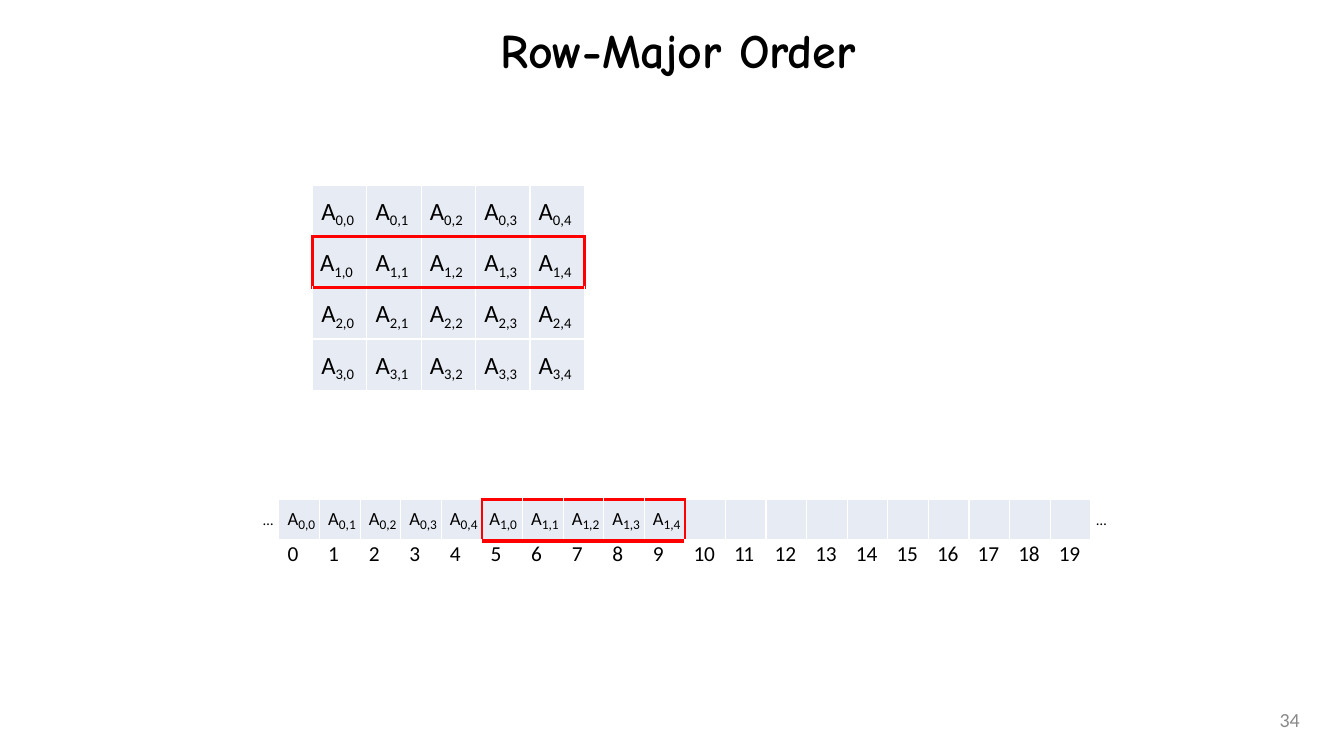
from lxml import etree
from pptx import Presentation
from pptx.dml.color import RGBColor
from pptx.enum.text import MSO_ANCHOR, MSO_AUTO_SIZE, PP_ALIGN
from pptx.oxml.ns import qn
from pptx.util import Cm, Pt

LEFT, CENTER, RIGHT = PP_ALIGN.LEFT, PP_ALIGN.CENTER, PP_ALIGN.RIGHT
TOP, MIDDLE = MSO_ANCHOR.TOP, MSO_ANCHOR.MIDDLE
FIXED_SIZE = MSO_AUTO_SIZE.NONE
TITLE_ONLY = 5
ROWS, COLUMNS, MEMORY_CELLS = 4, 5, 20
MARKED_ROW = 1
INDENT, MARKED_INDENT = 0.23, 0.2


def color(value):
    return RGBColor.from_string(value)


class SlideBuilder:
    body_font, title_font = "Calibri", "Comic Neue"
    black, white, red = "000000", "FFFFFF", "FF0000"
    cell_fill, gray = "E7EBF3", "898989"

    def __init__(self, slide):
        self.slide = slide

    def style(self, font, size=None, hue=None, name=None):
        font.name = name or self.body_font
        font.color.rgb = color(hue or self.black)
        if size:
            font.size = Pt(size)

    def indent(self, para, length):
        properties = para._p.get_or_add_pPr()
        properties.set("marL", str(Cm(length)))
        properties.set("indent", "0")

    def title(self, text, left, top, width, height):
        box = self.slide.shapes.title
        box.left, box.top, box.width, box.height = map(Cm, (left, top, width, height))
        frame = box.text_frame
        frame.text = text
        frame.auto_size = FIXED_SIZE
        frame.vertical_anchor = MIDDLE
        frame.margin_left = frame.margin_right = Cm(0.3)
        frame.margin_top = frame.margin_bottom = Cm(0.15)
        para = frame.paragraphs[0]
        para.alignment = CENTER
        self.style(para.font, 36, name=self.title_font)
        para.font.bold = True

    def text(self, text, left, top, width, height, size, hue=None,
             align=LEFT, anchor=TOP, margins=(0, 0), indent=0):
        box = self.slide.shapes.add_textbox(*map(Cm, (left, top, width, height)))
        frame = box.text_frame
        frame.word_wrap = True
        frame.vertical_anchor = anchor
        frame.margin_left = frame.margin_right = Cm(margins[0])
        frame.margin_top = frame.margin_bottom = Cm(margins[1])
        para = frame.paragraphs[0]
        para.text = text
        para.alignment = align
        self.indent(para, indent)
        self.style(para.font, size, hue)

    def table(self, rows, columns, left, top, width, height):
        frame = self.slide.shapes.add_table(
            rows, columns, *map(Cm, (left, top, width, height)))
        table = frame.table
        table.first_row = table.horz_banding = False
        for cell in table.iter_cells():
            cell.margin_left = cell.margin_right = 0
            cell.margin_top = cell.margin_bottom = 0
        return table

    def borders(self, cell, **edges):
        """Edges L, R, T and B are (hue, points); the rest are thin white."""
        properties = cell._tc.get_or_add_tcPr()
        for place, side in enumerate("LRTB"):
            hue, points = edges.get(side, (self.white, 1))
            line = etree.Element(qn(f"a:ln{side}"), w=str(Pt(points)))
            fill = etree.SubElement(line, qn("a:solidFill"))
            etree.SubElement(fill, qn("a:srgbClr"), val=hue)
            properties.insert(place, line)

    def element(self, cell, row, column, size, index_size, indent):
        """Write A with its row and column as a subscript."""
        para = cell.text_frame.paragraphs[0]
        self.indent(para, indent)
        self.style(para.font)
        for text in ("A", str(row), ",", str(column)):
            span = para.add_run()
            span.text = text
            span.font.size = Pt(size if text == "A" else index_size)
            if text == "A":
                span.font._element.set("baseline", "13000")
            elif text == ",":
                span.font._element.set("spc", "-10")

    def number(self, cell, value):
        para = cell.text_frame.paragraphs[0]
        para.text = str(value)
        self.indent(para, INDENT)
        self.style(para.font, 16)
        if value >= 10:
            spacing = -120 if value == 11 else -10
            para.runs[0].font._element.set("spc", str(spacing))

    def fill(self, cell):
        cell.fill.solid()
        cell.fill.fore_color.rgb = color(self.cell_fill)

    def matrix(self):
        table = self.table(ROWS, COLUMNS, 8.27, 4.9, 7.19, 5.11)
        rule, side = (self.red, 2.29), (self.red, 2.25)
        for row in range(ROWS):
            for column in range(COLUMNS):
                cell = table.cell(row, column)
                edges = {}
                if row in (MARKED_ROW, MARKED_ROW + 1):
                    edges["T"] = rule
                if row in (MARKED_ROW - 1, MARKED_ROW):
                    edges["B"] = rule
                if row == MARKED_ROW and column == 0:
                    edges["L"] = side
                if row == MARKED_ROW and column == COLUMNS - 1:
                    edges["R"] = side
                self.fill(cell)
                self.borders(cell, **edges)
                indent = MARKED_INDENT if "L" in edges else INDENT
                self.element(cell, row, column, 32, 11, indent)

    def memory(self):
        table = self.table(2, MEMORY_CELLS, 7.38, 13.21, 21.49, 2.21)
        first = MARKED_ROW * COLUMNS
        end = first + COLUMNS
        side = (self.red, 2.25)
        for address in range(MEMORY_CELLS):
            cell, label = table.cell(0, address), table.cell(1, address)
            marked = first <= address < end
            rule = (self.red, 3.78) if marked else (self.white, 3.16)
            edges = {"B": rule}
            if marked:
                edges["T"] = side
            if address in (first, end):
                edges["L"] = side
            if address in (first - 1, end - 1):
                edges["R"] = side
            self.fill(cell)
            self.borders(cell, **edges)
            if address < end:
                indent = MARKED_INDENT if address == first else INDENT
                self.element(cell, *divmod(address, COLUMNS), 24, 10, indent)
            label.fill.background()
            self.borders(label, T=rule)
            self.number(label, address)


def main():
    deck = Presentation()
    deck.slide_width, deck.slide_height = Pt(1008), Pt(567)
    page = SlideBuilder(deck.slides.add_slide(deck.slide_layouts[TITLE_ONLY]))

    # Title
    page.title("Row-Major Order", 4.18, 0.2, 27.51, 2.21)

    # Ellipses at both ends of the memory strip
    for left in (6.93, 28.98):
        page.text("…", left, 13.51, 0.43, 0.48, 11, indent=0.03)

    # Matrix and its layout in memory
    page.matrix()
    page.memory()

    # Page number
    page.text("34", 26.38, 18.51, 8.31, 1.07, 15, page.gray,
              RIGHT, MIDDLE, margins=(0.3, 0.15))

    deck.save("out.pptx")


if __name__ == "__main__":
    main()
